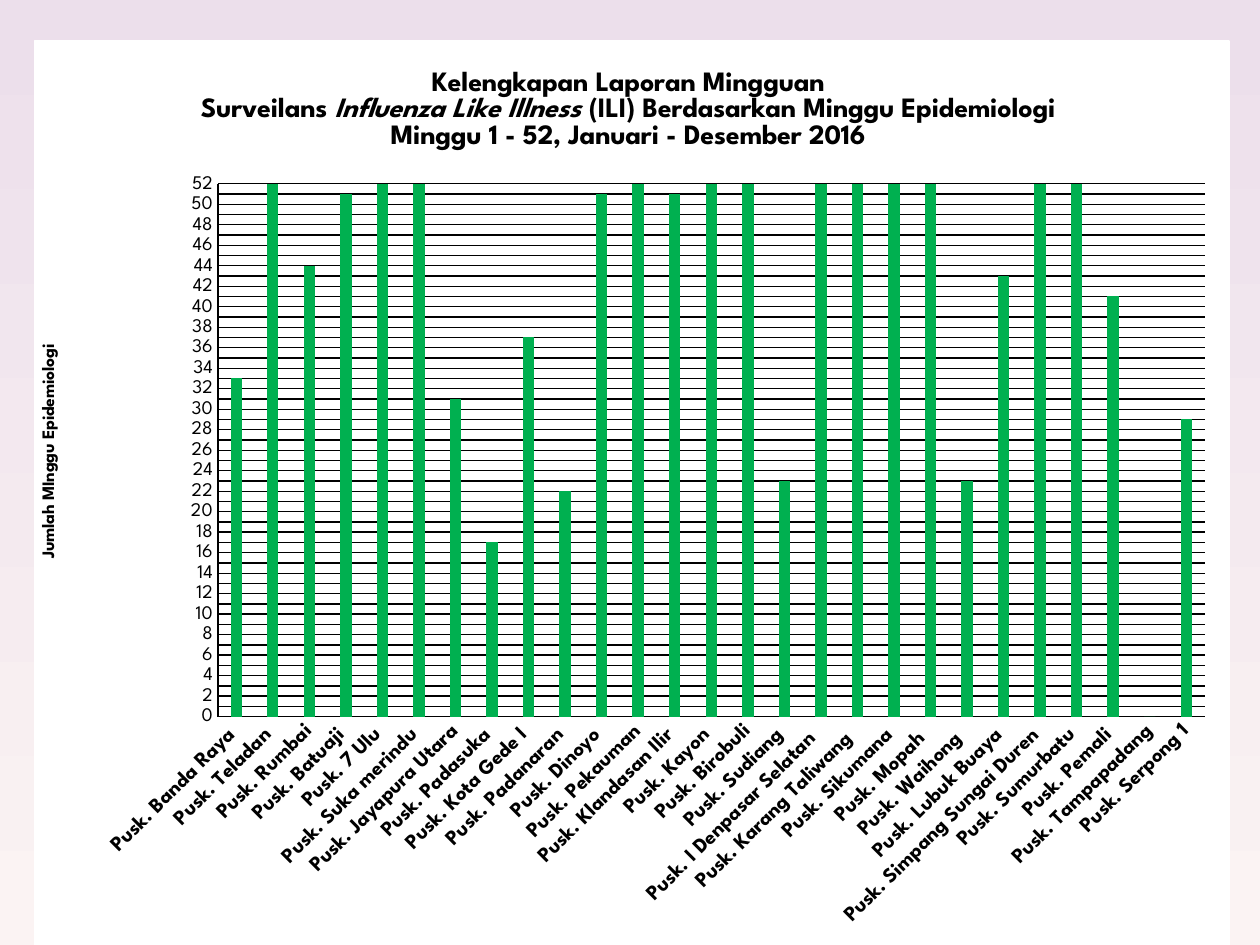
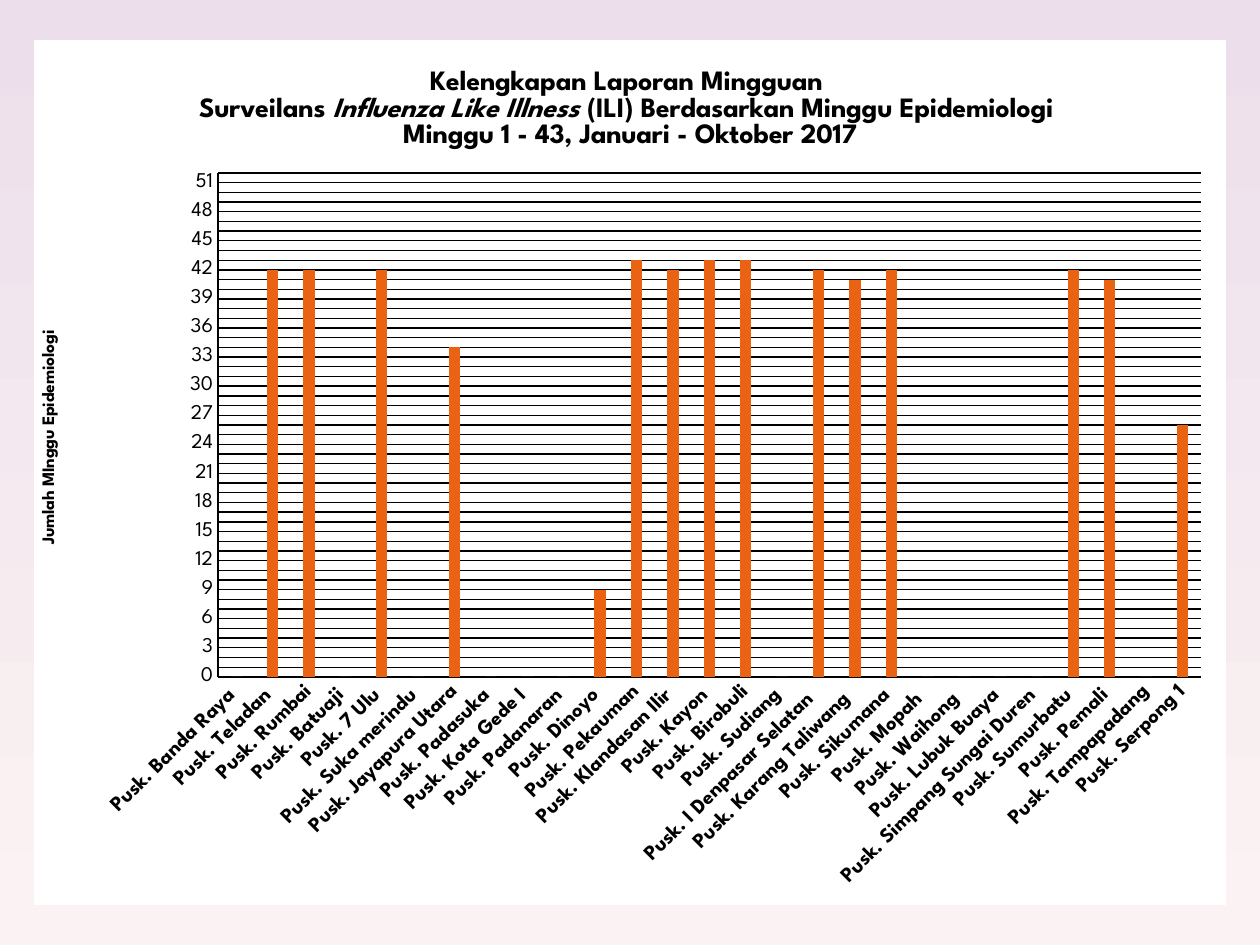
"""Build two slides charting weekly ILI report completeness by health centre."""
from lxml import etree
from pptx import Presentation
from pptx.chart.data import CategoryChartData
from pptx.dml.color import RGBColor
from pptx.enum.chart import XL_CHART_TYPE, XL_TICK_MARK
from pptx.oxml import parse_xml
from pptx.oxml.ns import nsdecls, qn
from pptx.util import Inches, Pt

FONT = "League Spartan"
COLORS = {"text": "000000", "panel": "FFFFFF", "top": "ECDFEB", "bottom": "FBF3F3",
          "green": "00B050", "orange": "EA6312"}
CENTRES = ["Banda Raya ", "Teladan ", "Rumbai", "Batuaji ", "7 Ulu ", "Suka merindu ",
           "Jayapura Utara", "Padasuka ", "Kota Gede I ", "Padanaran ", "Dinoyo ",
           "Pekauman", "Klandasan Ilir ", "Kayon ", "Birobuli", "Sudiang ",
           "I Denpasar Selatan  ", "Karang Taliwang  ", "Sikumana ", "Mopah  ", "Waihong  ",
           "Lubuk Buaya ", "Simpang Sungai Duren ", "Sumurbatu ", "Pemali ",
           "Tampapadang", "Serpong 1"]
TITLE_LINES = [[("Kelengkapan Laporan Mingguan ", False)],
               [("Surveilans ", False), ("Influenza Like Illness", True),
                (" (ILI) Berdasarkan Minggu Epidemiologi ", False)]]
AXIS_TITLE = "Jumlah MInggu Epidemiologi"
AXIS_TITLE_PLACE = {"x": 0.002, "y": 0.332}
REPORTS = [
    {"period": "Minggu 1 - 52, Januari - Desember 2016 ", "color": "green",
     "size": (9.49, 7.19), "value_size": 11,
     "plot": {"x": 0.1535, "y": 0.158, "w": 0.826, "h": 0.589},
     "weeks": [33, 52, 44, 51, 52, 52, 31, 17, 37, 22, 51, 52, 51, 52,
               52, 23, 52, 52, 52, 52, 23, 43, 52, 52, 41, 0, 29]},
    {"period": "Minggu 1 - 43, Januari - Oktober 2017", "color": "orange",
     "size": (9.46, 6.86), "value_size": 12,
     "plot": {"x": 0.154, "y": 0.153, "w": 0.8255, "h": 0.584},
     "weeks": [0, 42, 42, 0, 42, 0, 34, 0, 0, 0, 9, 43, 42, 43,
               43, 0, 42, 41, 42, 0, 0, 0, 0, 42, 41, 0, 26]},
]


def rgb(name):
    return RGBColor.from_string(COLORS[name])


def format_font(font, size, bold=False, italic=False):
    values = {"name": FONT, "size": Pt(size), "bold": bold, "italic": italic}
    for attribute, value in values.items():
        setattr(font, attribute, value)
    font.color.rgb = rgb("text")


def format_line(line):
    line.color.rgb = rgb("text")
    line.width = Pt(0.75)


def write_lines(text_frame, lines, size):
    for number, runs in enumerate(lines):
        paragraph = text_frame.add_paragraph() if number else text_frame.paragraphs[0]
        for text, italic in runs:
            run = paragraph.add_run()
            run.text = text
            format_font(run.font, size, True, italic)


def place(element, index, shares):
    for layout in element.findall(qn("c:layout")):
        element.remove(layout)
    layout = etree.Element(qn("c:layout"))
    manual = etree.SubElement(layout, qn("c:manualLayout"))
    settings = {"layoutTarget": "inner"} if "w" in shares else {}
    settings.update(xMode="edge", yMode="edge", **shares)
    for tag, value in settings.items():
        etree.SubElement(manual, qn(f"c:{tag}")).set("val", str(value))
    element.insert(index, layout)


def rotate(element, degrees):
    body = next(element.iter(qn("a:bodyPr")))
    body.set("rot", str(degrees * 60000))
    body.set("vert", "horz")


def paint_panel(chart):
    fill = f'<a:solidFill><a:srgbClr val="{COLORS["panel"]}"/></a:solidFill>'
    properties = parse_xml(f'<c:spPr {nsdecls("c", "a")}>{fill}'
                           f'<a:ln w="9525">{fill}</a:ln></c:spPr>')
    chart._chartSpace.find(qn("c:chart")).addnext(properties)


def format_axes(chart, value_size):
    category_axis, value_axis = chart.category_axis, chart.value_axis
    for axis, size, bold in ((category_axis, 12, True), (value_axis, value_size, False)):
        axis.major_tick_mark = axis.minor_tick_mark = XL_TICK_MARK.NONE
        format_font(axis.tick_labels.font, size, bold)
        format_line(axis.format.line)
    rotate(category_axis._element.find(qn("c:txPr")), -45)
    scale = {"minimum_scale": 0, "maximum_scale": 52, "major_unit": 1,
             "has_major_gridlines": True}
    for attribute, value in scale.items():
        setattr(value_axis, attribute, value)
    format_line(value_axis.major_gridlines.format.line)
    write_lines(value_axis.axis_title.text_frame, [[(AXIS_TITLE, False)]], 10)
    title = value_axis._element.find(qn("c:title"))
    rotate(title, -90)
    place(title, 1, AXIS_TITLE_PLACE)


def add_report(presentation, report):
    slide = presentation.slides.add_slide(presentation.slide_layouts[6])
    data = CategoryChartData()
    data.categories = [f"Pusk. {centre}" for centre in CENTRES]
    data.add_series("Series 1", report["weeks"])
    width, height = report["size"]
    chart = slide.shapes.add_chart(XL_CHART_TYPE.COLUMN_CLUSTERED, Inches(0.27), Inches(0.32),
                                   Inches(width), Inches(height), data).chart
    format_font(chart.font, 10)
    paint_panel(chart)
    chart.has_legend = False
    write_lines(chart.chart_title.text_frame, TITLE_LINES + [[(report["period"], False)]], 16)
    format_axes(chart, report["value_size"])
    plot = chart.plots[0]
    for attribute, value in {"gap_width": 219, "overlap": -27, "vary_by_categories": False}.items():
        setattr(plot, attribute, value)
    fill = plot.series[0].format.fill
    fill.solid()
    fill.fore_color.rgb = rgb(report["color"])
    place(chart._chartSpace.find(qn("c:chart")).find(qn("c:plotArea")), 0, report["plot"])


def main():
    presentation = Presentation()
    presentation.slide_width, presentation.slide_height = Inches(10), Inches(7.5)
    background = presentation.slide_master.background.fill
    background.gradient()
    background.gradient_angle = 270
    for stop, name in zip(background.gradient_stops, ("top", "bottom")):
        stop.color.rgb = rgb(name)
    for report in REPORTS:
        add_report(presentation, report)
    presentation.save("out.pptx")


if __name__ == "__main__":
    main()
